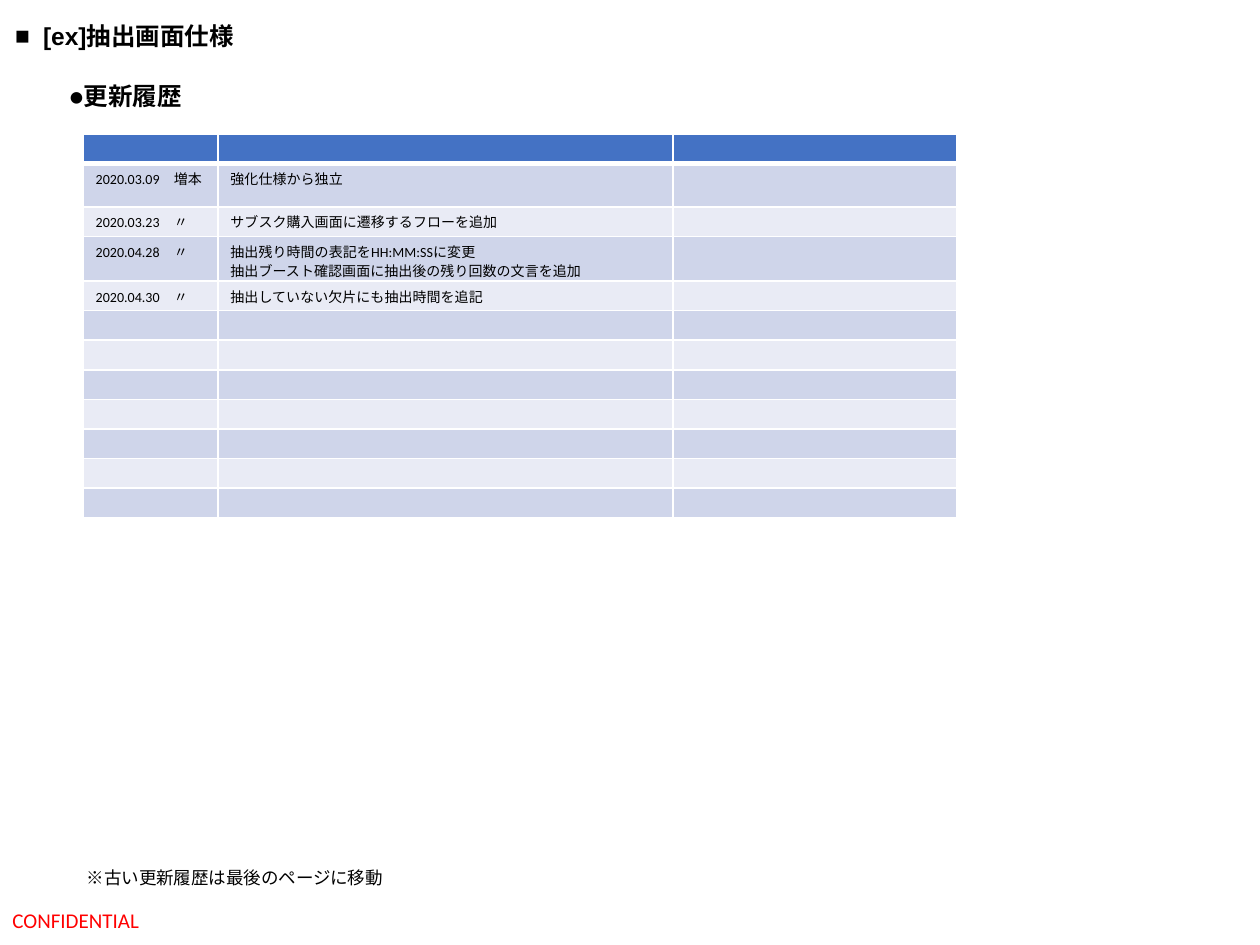
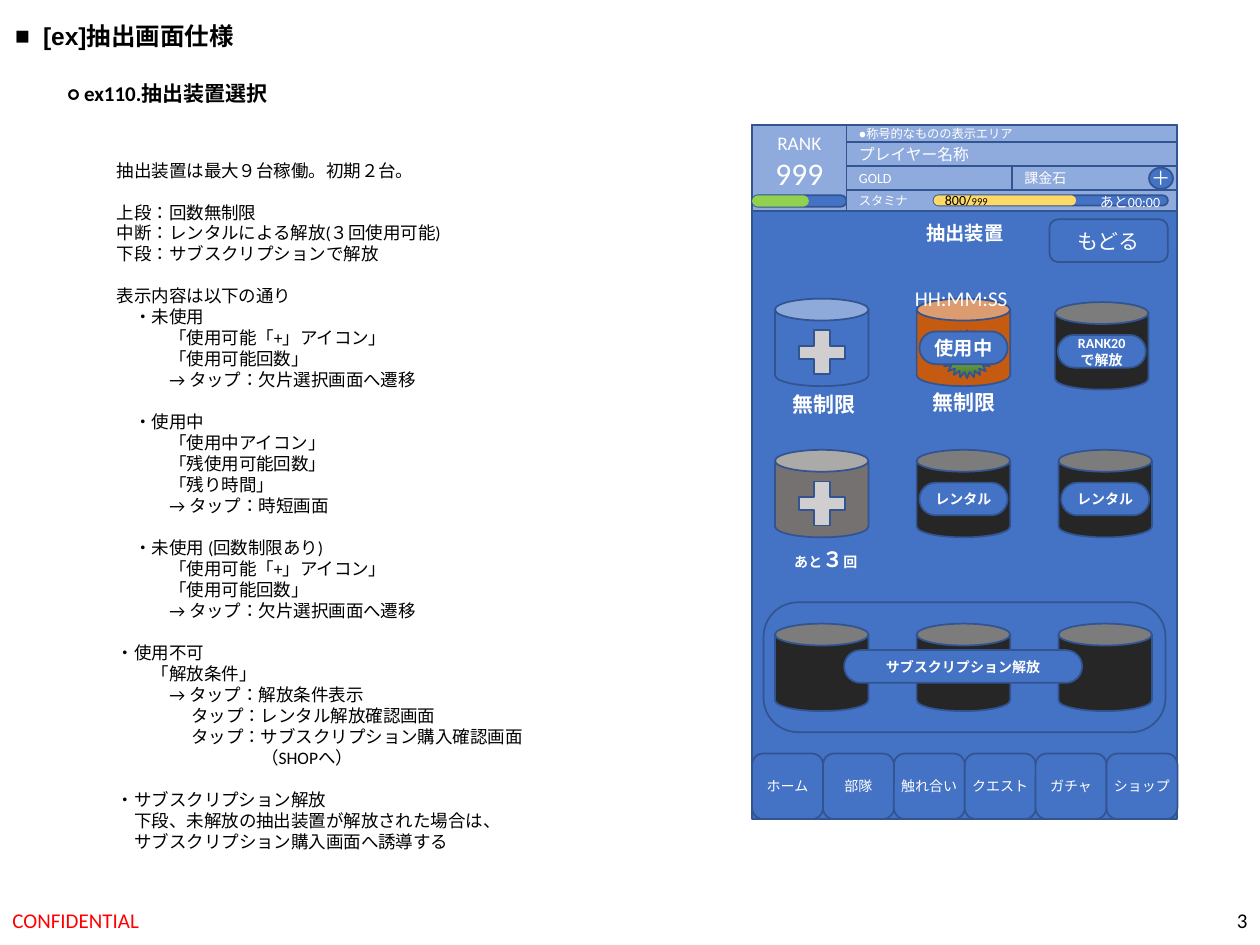
from copy import deepcopy

from lxml import etree
from pptx import Presentation
from pptx.dml.color import RGBColor
from pptx.enum.shapes import MSO_SHAPE as S
from pptx.enum.text import MSO_ANCHOR, MSO_AUTO_SIZE, PP_ALIGN
from pptx.oxml.ns import qn
from pptx.util import Pt

# Shared style
BLACK = RGBColor(0, 0, 0)
WHITE = RGBColor(0xFF, 0xFF, 0xFF)
RED = RGBColor(0xFF, 0, 0)
BLUE = RGBColor(0x44, 0x72, 0xC4)
OUTLINE = RGBColor(0x32, 0x54, 0x91)
LIGHT_BLUE = RGBColor(0x8F, 0xAA, 0xDC)
BAND_DARK = RGBColor(0xCF, 0xD5, 0xEA)
BAND_LIGHT = RGBColor(0xE9, 0xEB, 0xF5)
GREEN = RGBColor(0x92, 0xD0, 0x50)
YELLOW = RGBColor(0xFF, 0xD9, 0x66)
ORANGE = RGBColor(0xC5, 0x5A, 0x11)
GREY = RGBColor(0x76, 0x71, 0x71)
PALE_GREY = RGBColor(0xD0, 0xCE, 0xCE)
DARK = RGBColor(0x26, 0x26, 0x26)
STAR_STOPS = [(0, RGBColor(0x4B, 0x74, 0x30)),
              (0.48, RGBColor(0x74, 0xB3, 0x49)),
              (1, RGBColor(0xA9, 0xD1, 0x8E))]
BODY, HEAD, GOTHIC = "Calibri", "Arial", "Noto Sans CJK JP"
LEFT, CENTER, RIGHT = PP_ALIGN.LEFT, PP_ALIGN.CENTER, PP_ALIGN.RIGHT
TOP, MIDDLE = MSO_ANCHOR.TOP, MSO_ANCHOR.MIDDLE

prs = Presentation()
prs.slide_width, prs.slide_height = Pt(720), Pt(540)


# Text helpers
def add_run(paragraph, text, size, color, bold=False, font=BODY):
    run = paragraph.add_run()
    run.text = text
    run.font.size = Pt(size)
    run.font.bold = bold
    run.font.color.rgb = color
    run.font.name = font
    props = run.font._element
    props.set("lang", "ja-JP")
    etree.SubElement(props, qn("a:ea")).set("typeface", font)


def write(frame, lines, size, color, bold=False, font=BODY, align=LEFT,
          anchor=TOP, wrap=False):
    """Each line is a string or a list of (text, size) runs."""
    frame.auto_size = MSO_AUTO_SIZE.NONE
    frame.word_wrap = wrap
    frame.vertical_anchor = anchor
    frame.margin_left = frame.margin_right = Pt(7.2)
    frame.margin_top = frame.margin_bottom = Pt(0 if anchor == MIDDLE else 3.6)
    for i, line in enumerate(lines):
        paragraph = frame.paragraphs[0] if i == 0 else frame.add_paragraph()
        paragraph.alignment = align
        runs = [(line, size)] if isinstance(line, str) else line
        for text, run_size in runs:
            add_run(paragraph, text, run_size, color, bold, font)


def add_text(shapes, box, lines, size, color, **style):
    text_box = shapes.add_textbox(*map(Pt, box))
    write(text_box.text_frame, lines, size, color, **style)
    return text_box


def add_page(number=None):
    slide = prs.slides.add_slide(prs.slide_layouts[5])
    # Title with a square bullet
    title = slide.shapes.title
    title.left, title.top, title.width, title.height = map(Pt, (1.4, 8.6, 149, 24.5))
    write(title.text_frame, ["[ex]抽出画面仕様"], 14, BLACK, bold=True, font=HEAD)
    props = title.text_frame.paragraphs[0]._p.get_or_add_pPr()
    props.set("marL", str(Pt(16)))
    props.set("indent", str(-Pt(16)))
    etree.SubElement(props, qn("a:buFont")).set("typeface", HEAD)
    etree.SubElement(props, qn("a:buChar")).set("char", "■")
    # Footer
    add_text(slide.shapes, (0, 511.2, 243, 28.8), ["CONFIDENTIAL"], 12, RED,
             anchor=MIDDLE, wrap=True)
    if number:
        add_text(slide.shapes, (558, 511.2, 162, 28.8), [number], 12, BLACK,
                 align=RIGHT, anchor=MIDDLE, wrap=True)
    return slide


# Update history table
HISTORY = [
    ("2020.03.09　増本", ["強化仕様から独立"]),
    ("2020.03.23　〃", ["サブスク購入画面に遷移するフローを追加"]),
    ("2020.04.28　〃", ["抽出残り時間の表記をHH:MM:SSに変更",
                     "抽出ブースト確認画面に抽出後の残り回数の文言を追加"]),
    ("2020.04.30　〃", ["抽出していない欠片にも抽出時間を追記"]),
]


def set_borders(cell, bottom):
    props = cell._tc.get_or_add_tcPr()
    for side, width in (("L", 1), ("R", 1), ("T", 1), ("B", bottom)):
        line = etree.SubElement(props, qn("a:ln" + side), w=str(Pt(width)))
        fill = etree.SubElement(line, qn("a:solidFill"))
        etree.SubElement(fill, qn("a:srgbClr"), val=str(WHITE))


def history_table(slide, x, y):
    row_count, widths, row_height = 12, (77, 260, 162), 16.9
    table = slide.shapes.add_table(row_count, 3, Pt(x), Pt(y), Pt(sum(widths)),
                                   Pt(row_height * row_count)).table
    for column, width in zip(table.columns, widths):
        column.width = Pt(width)
    for r, row in enumerate(table.rows):
        entry = HISTORY[r - 1] if 1 <= r <= len(HISTORY) else ("", [])
        row.height = Pt(row_height if len(entry[1]) < 2 else 25.5)
        for c, cell in enumerate(row.cells):
            set_borders(cell, 3 if r == 0 else 1)
            cell.fill.solid()
            cell.fill.fore_color.rgb = (BLUE if r == 0 else
                                        BAND_DARK if r % 2 else BAND_LIGHT)
            cell.margin_top, cell.margin_bottom = Pt(3.6), 0
            lines = ([entry[0]], entry[1], [])[c] if entry[0] else []
            for i, line in enumerate(lines or [""]):
                paragraphs = cell.text_frame.paragraphs
                paragraph = paragraphs[0] if i == 0 else cell.text_frame.add_paragraph()
                paragraph.line_spacing = Pt(10.6)
                if line:
                    add_run(paragraph, line, 8, BLACK)
                else:
                    etree.SubElement(paragraph._p, qn("a:endParaRPr"), sz="800")


# Description: blocks of (indent in characters, text)
USABLE = [(4, "「使用可能「+」アイコン」"), (4, "「使用可能回数」"),
          (4, "→ タップ：欠片選択画面へ遷移")]
DESCRIPTION = [
    [(1, "抽出装置は最大９台稼働。初期２台。")],
    [(1, "上段：回数無制限"), (1, "中断：レンタルによる解放(３回使用可能)"),
     (1, "下段：サブスクリプションで解放")],
    [(1, "表示内容は以下の通り"), (2, "・未使用"), *USABLE],
    [(2, "・使用中"), (4, "「使用中アイコン」"), (4, "「残使用可能回数」"),
     (4, "「残り時間」"), (4, "→ タップ：時短画面")],
    [(2, "・未使用 (回数制限あり)"), *USABLE],
    [(1, "・使用不可"), (3, "「解放条件」"), (4, "→ タップ：解放条件表示"),
     (5.25, "タップ：レンタル解放確認画面"),
     (5.25, "タップ：サブスクリプション購入確認画面"), (9.25, "（SHOPへ）")],
    [(1, "・サブスクリプション解放"),
     (2, "下段、未解放の抽出装置が解放された場合は、"),
     (2, "サブスクリプション購入画面へ誘導する")],
]


def description(slide, box):
    size, pitch = 10, 12
    lines = [(indent, text, i == 0 and b > 0)
             for b, block in enumerate(DESCRIPTION)
             for i, (indent, text) in enumerate(block)]
    frame = add_text(slide.shapes, box, [text for _, text, _ in lines], size,
                     BLACK, wrap=True).text_frame
    frame.margin_top = Pt(3.6 + pitch)
    for paragraph, (indent, _, starts_block) in zip(frame.paragraphs, lines):
        paragraph.line_spacing = Pt(pitch)
        paragraph.space_before = Pt(pitch if starts_block else 0)
        props = paragraph._p.get_or_add_pPr()
        props.set("marL", str(Pt(indent * size)))
        props.set("indent", "0")


# Game screen mock-up
class Screen:
    """A group whose parts are placed relative to its top left corner."""

    def __init__(self, slide, box):
        self.x, self.y, self.w, self.h = box
        self.shapes = slide.shapes.add_group_shape().shapes

    def place(self, x, y, w, h):
        return self.x + x, self.y + y, w, h

    def shape(self, kind, box, fill=BLUE, line=OUTLINE, adj=None):
        shape = self.shapes.add_shape(kind, *map(Pt, self.place(*box)))
        shape.shadow.inherit = False
        if fill is None:
            shape.fill.background()
        else:
            shape.fill.solid()
            shape.fill.fore_color.rgb = fill
        if line is None:
            shape.line.fill.background()
        else:
            shape.line.color.rgb = line
            shape.line.width = Pt(1)
        if adj is not None:
            shape.adjustments[0] = adj
        return shape

    def field(self, box, text, size):
        write(self.shape(S.RECTANGLE, box, LIGHT_BLUE).text_frame, [text], size,
              WHITE, anchor=MIDDLE, wrap=True)

    def button(self, box, lines, size, adj=0.5, bold=True, kind=S.ROUNDED_RECTANGLE):
        write(self.shape(kind, box, adj=adj).text_frame, lines, size, WHITE,
              bold=bold, align=CENTER, anchor=MIDDLE)

    def label(self, box, line, size, color=WHITE, bold=False):
        add_text(self.shapes, self.place(*box), [line], size, color, bold=bold,
                 align=CENTER, anchor=MIDDLE)

    def gauge(self, x, y, w, h, filled, color):
        self.shape(S.ROUNDED_RECTANGLE, (x, y, w, h), adj=0.5)
        self.shape(S.ROUNDED_RECTANGLE, (x, y, filled, h), color, None, 0.5)


def status_header(screen):
    rank_w, right_w = 54, screen.w - 54
    write(screen.shape(S.RECTANGLE, (0, 0, rank_w, 49.2), LIGHT_BLUE).text_frame,
          ["RANK", [("999", 18)]], 11, WHITE, align=CENTER, wrap=True)
    screen.gauge(0, 40.3, rank_w, 6.5, 32.4, GREEN)
    screen.field((rank_w, 0, right_w, 10), "●称号的なものの表示エリア", 7)
    screen.field((rank_w, 10, right_w, 13.7), "プレイヤー名称", 9)
    for i, currency in enumerate(("GOLD", "課金石")):
        screen.field((rank_w + i * right_w / 2, 23.7, right_w / 2, 13.7), currency, 8)
    screen.button((226.8, 24.5, 13.7, 12.2), ["＋"], 11, None, False, S.OVAL)
    screen.field((rank_w, 37.4, right_w, 12), "スタミナ", 7)
    screen.gauge(103.7, 40.3, 133.9, 5.8, 81.4, YELLOW)
    screen.label((102.2, 36.7, 40.3, 12.2), [("800/", 8), ("999", 6)], 8, BLACK)
    screen.label((195.8, 38.2, 40.3, 12.2), "あと00:00", 8)


def device(screen, x, y, fill=DARK, state=None, size=8, plus=False, star=False):
    """One extraction device with its icon and state button."""
    screen.shape(S.CAN, (x, y, 53.5, 50), fill)
    if plus:
        screen.shape(S.CROSS, (x + 13.7, y + 18, 26.6, 25.2), PALE_GREY, adj=0.35)
    if star:
        burst = screen.shape(S.STAR_24_POINT, (x + 13.7, y + 18, 30.2, 27.4))
        burst.fill.gradient()
        burst.fill.gradient_angle = 90
        stops = burst._element.spPr.find(qn("a:gradFill")).find(qn("a:gsLst"))
        stops.insert(1, deepcopy(stops[0]))
        for stop, (position, color) in zip(burst.fill.gradient_stops, STAR_STOPS):
            stop.position = position
            stop.color.rgb = color
    if state:
        screen.button((x + 1.6, y + 18.7, 50.4, 18.7), state, size)


def game_screen(slide, box):
    screen = Screen(slide, box)
    background = screen.shape(S.RECTANGLE, (0, 0, screen.w, screen.h))
    write(background.text_frame, ["抽出装置"], 11, WHITE, bold=True, font=GOTHIC,
          align=CENTER, wrap=True)
    background.text_frame.margin_top = Pt(55)
    status_header(screen)
    screen.button((169.9, 54, 67.7, 24.5), ["もどる"], 12, 0.205, False)

    # Devices in three rows
    columns = [13 + 81 * i for i in range(3)]
    upper, middle, lower = 99.4, 185.8, 285.1
    device(screen, columns[0], upper, BLUE, plus=True)
    device(screen, columns[1], upper, ORANGE, ["使用中"], 11, star=True)
    device(screen, columns[2] - 2, upper + 2, state=["RANK20", "で解放"])
    device(screen, columns[0], middle, GREY, plus=True)
    for x in columns[1:]:
        device(screen, x, middle, state=["レンタル"])
    for x in columns:
        device(screen, x, lower)

    # Captions
    screen.label((15.8, 147.6, 51, 24.5), "無制限", 12, bold=True)
    screen.label((95.8, 146.2, 51, 24.5), "無制限", 12, bold=True)
    screen.label((16.6, 236.2, 51, 24.5), [("あと", 8), ("３", 12), ("回", 8)], 8,
                 bold=True)
    screen.label((94.3, 87.1, 50.4, 24.5), "HH:MM:SS", 12)

    # Subscription frame
    screen.shape(S.ROUNDED_RECTANGLE, (6.5, 272.9, 229.7, 74.2), None, adj=0.265)
    screen.button((52.6, 300.2, 136, 18.7), ["サブスクリプション解放"], 8)

    # Bottom menu
    menu = ("ホーム", "部隊", "触れ合い", "クエスト", "ガチャ", "ショップ")
    tab_w, tab_h = screen.w / len(menu), 37.4
    for i, name in enumerate(menu):
        screen.button((i * tab_w, screen.h - tab_h, tab_w, tab_h), [name], 8, None,
                      False)


# Slide: update history
history = add_page()
add_text(history.shapes, (32.4, 42.5, 85, 24.5), ["●更新履歴"], 14, BLACK, bold=True)
history_table(history, 47.5, 76.5)
add_text(history.shapes, (42.5, 491.8, 186.5, 19.4),
         ["※古い更新履歴は最後のページに移動"], 10, BLACK)

# Slide: device selection
selection = add_page("3")
add_text(selection.shapes, (31.7, 42.5, 111.6, 21.6), ["○ ex110.抽出装置選択"], 12,
         BLACK, bold=True)
description(selection, (49.7, 75.6, 262, 419))
game_screen(selection, (429.8, 71.3, 243, 396.7))

prs.save("out.pptx")
